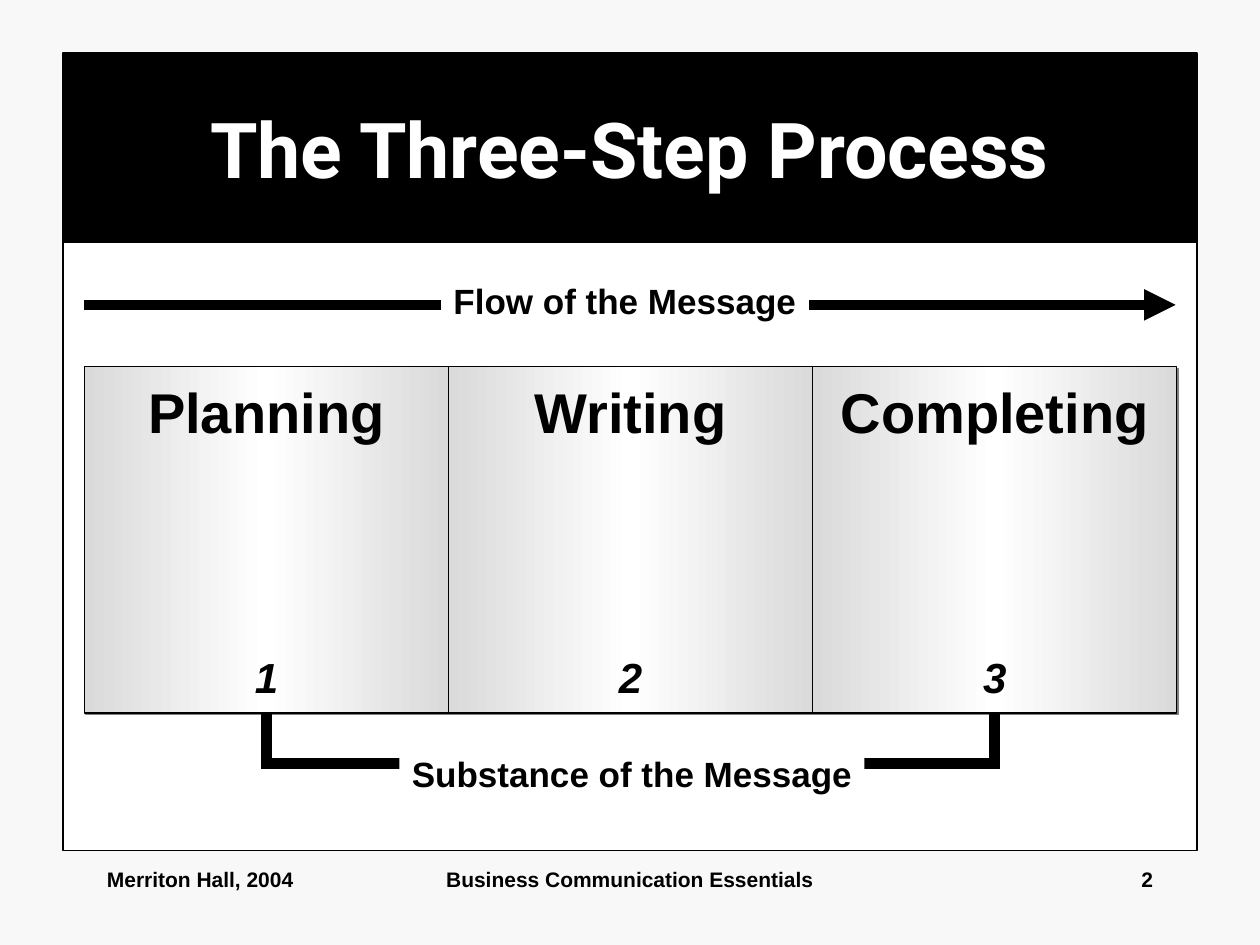
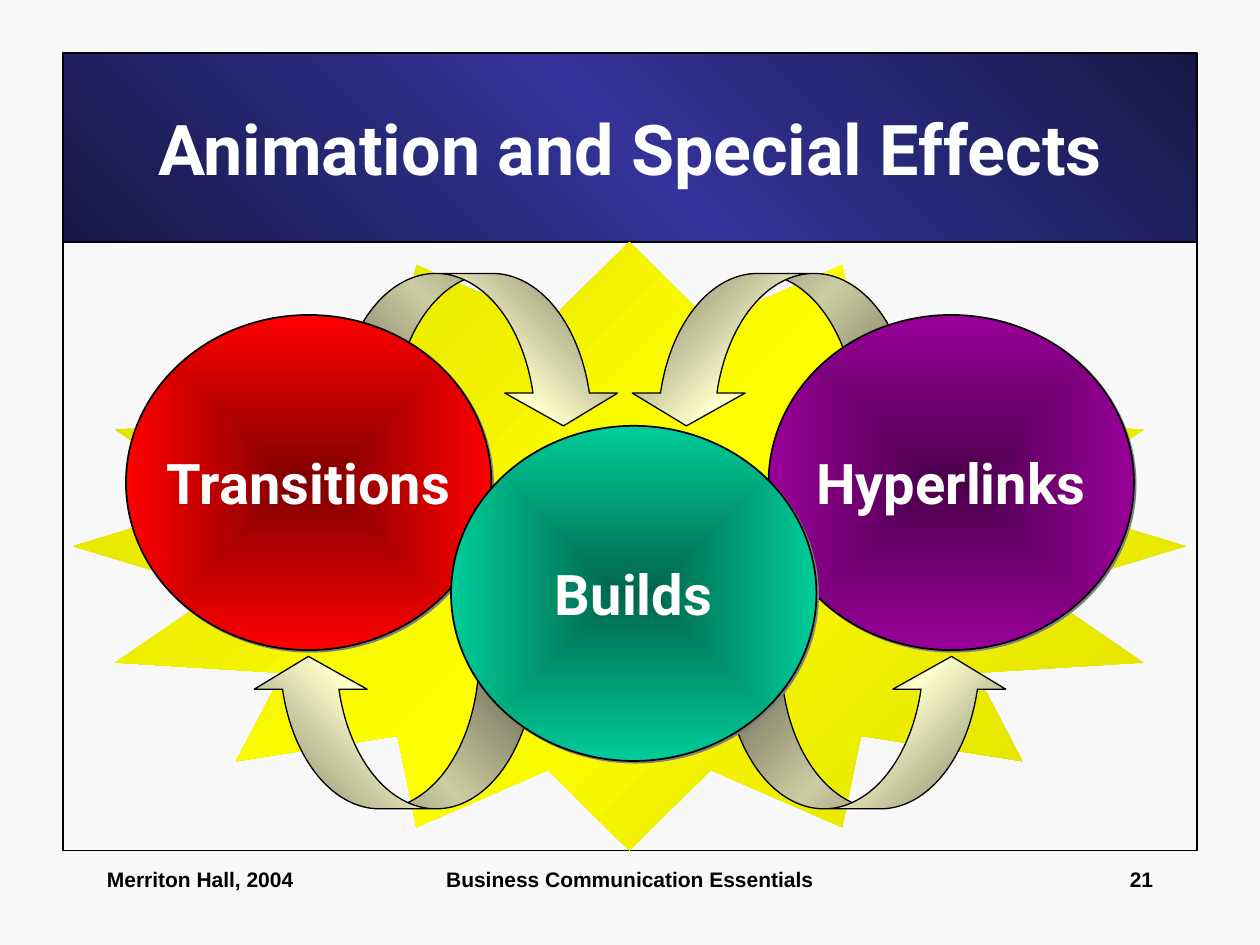
from pptx import Presentation
from pptx import util as u
from pptx.dml.color import RGBColor
from pptx.enum import shapes, text
from pptx.oxml import parse_xml
from pptx.oxml.ns import nsdecls, qn

Inches, Pt = u.Inches, u.Pt
Kind, Align = shapes.MSO_SHAPE, text.PP_ALIGN
Anchor, Fit = text.MSO_ANCHOR, text.MSO_AUTO_SIZE

# Shared colours and fonts
BLACK = RGBColor(0, 0, 0)
WHITE = RGBColor(255, 255, 255)
PAPER = RGBColor(0xF8, 0xF8, 0xF8)
SHADE = RGBColor(0x80, 0x80, 0x80)
SILVER = RGBColor(0xDA, 0xDA, 0xDA)
NIGHT, BLUE = RGBColor(0x17, 0x17, 0x46), RGBColor(0x33, 0x33, 0x99)
OLIVE, YELLOW = RGBColor(0xDB, 0xDB, 0), RGBColor(0xFF, 0xFF, 0)
KHAKI, CREAM = RGBColor(0x75, 0x75, 0x5E), RGBColor(0xFF, 0xFF, 0xCC)
PLUM, PURPLE = RGBColor(0x4B, 0, 0x4B), RGBColor(0x99, 0, 0x99)
WINE, RED = RGBColor(0x7E, 0, 0), RGBColor(0xFF, 0, 0)
PINE, GREEN = RGBColor(0, 0x65, 0x4B), RGBColor(0, 0xCC, 0x99)
HEAD, BODY = "Roboto", "Arial"

# Content
FOOTER = [  # text, left, width, alignment
    ("Merriton Hall, 2004", 0.75, 2.08, Align.LEFT),
    ("Business Communication Essentials", 3.42, 3.16, Align.CENTER),
    ("{page}", 7.17, 2.08, Align.RIGHT),
]
STEPS = ["Planning", "Writing", "Completing"]
FLOW = ("Flow of the Message", (3.5, 2.17, 2.92, 0.44))
SUBSTANCE = ("Substance of the Message", (3.17, 5.92, 3.69, 0.44))
DISCS = [  # text, left, top, inner and outer colour
    ("Hyperlinks", 6.1, 2.5, PLUM, PURPLE),
    ("Transitions", 1, 2.5, WINE, RED),
    ("Builds", 3.58, 3.38, PINE, GREEN),
]
ARROWS = [  # left, top, flipped across, flipped down
    (5, 2.17, True, False),
    (2.67, 2.17, False, False),
    (5.75, 5.21, False, True),
    (2, 5.21, True, True),
]


def style(par, size, font=BODY, color=BLACK, align=Align.LEFT, italic=False):
    par.alignment = align
    for run in par.runs:
        f = run.font
        f.name, f.size, f.bold, f.italic = font, Pt(size), True, italic
        f.color.rgb = color


def paint(shape, fill=None, line=None):
    """Give a solid or empty fill and a black or empty outline."""
    if fill is None:
        shape.fill.background()
    else:
        shape.fill.solid()
        shape.fill.fore_color.rgb = fill
    if line is None:
        shape.line.fill.background()
    else:
        shape.line.color.rgb = BLACK
        shape.line.width = Pt(line)


def blend(shape, colors, angle=None):
    """Spread colours evenly, along an angle or out from the centre."""
    shape.fill.gradient()
    grad = shape._element.spPr.find(qn("a:gradFill"))
    grad.clear()
    grad.set("rotWithShape", "1")
    gap = 100000 // (len(colors) - 1)
    stops = "".join(f'<a:gs pos="{i * gap}"><a:srgbClr val="{c}"/></a:gs>'
                    for i, c in enumerate(colors))
    grad.append(parse_xml(f'<a:gsLst {nsdecls("a")}>{stops}</a:gsLst>'))
    if angle is None:
        way = (f'<a:path {nsdecls("a")} path="rect"><a:fillToRect l="50000" '
               't="50000" r="50000" b="50000"/></a:path>')
    else:
        way = f'<a:lin {nsdecls("a")} ang="{angle * 60000}" scaled="1"/>'
    grad.append(parse_xml(way))


def drop(shape):
    """Add the small grey shadow at the lower right."""
    shape._element.spPr.find(qn("a:effectLst")).append(parse_xml(
        f'<a:outerShdw {nsdecls("a")} dist="17780" dir="2700000" '
        f'algn="ctr" rotWithShape="0"><a:srgbClr val="{SHADE}"/></a:outerShdw>'))


def place(slide, kind, box, fill=None, line=None):
    shape = slide.shapes.add_shape(kind, *map(Inches, box))
    shape.shadow.inherit = False
    paint(shape, fill, line)
    return shape


def write(slide, words, box, size, align=Align.LEFT):
    area = slide.shapes.add_textbox(*map(Inches, box))
    area.text_frame.word_wrap = True
    area.text_frame.text = words
    style(area.text_frame.paragraphs[0], size, align=align)
    return area


def label(slide, words, box):
    """Write one line on white; the slim right margin keeps it unbroken."""
    area = write(slide, words, box, 20)
    frame = area.text_frame
    frame.word_wrap, frame.auto_size = False, Fit.NONE
    frame.margin_right = Inches(0.02)
    paint(area, WHITE)


def start(deck, title, size, page, fill=None):
    """Make a slide with frame, title band and footer."""
    slide = deck.slides.add_slide(deck.slide_layouts[5])
    place(slide, Kind.RECTANGLE, (0.5, 1.92, 9, 4.83), fill, 0.75)
    band = slide.shapes.title
    band.left, band.top, band.width, band.height = map(
        Inches, (0.5, 0.42, 9, 1.5))
    paint(band, BLACK, 0.75)
    frame = band.text_frame
    frame.text = title
    frame.auto_size, frame.vertical_anchor = Fit.NONE, Anchor.MIDDLE
    style(frame.paragraphs[0], size, HEAD, WHITE, Align.CENTER)
    for words, left, width, align in FOOTER:
        write(slide, words.format(page=page), (left, 6.83, width, 0.49),
              12, align)
    return slide


def process(deck):
    slide = start(deck, "The Three-Step Process", 44, 2, WHITE)
    left, top, wide, high = 0.67, 2.91, 2.89, 2.75
    base = top + high

    # Flow arrow
    arrow = slide.shapes.add_connector(
        shapes.MSO_CONNECTOR.STRAIGHT, Inches(left), Inches(2.42),
        Inches(9.33), Inches(2.42))
    arrow.line.color.rgb, arrow.line.width = BLACK, Pt(6)
    arrow.line._get_or_add_ln().append(
        parse_xml(f'<a:tailEnd {nsdecls("a")} type="triangle"/>'))
    arrow._element.spPr.append(parse_xml(f'<a:effectLst {nsdecls("a")}/>'))
    label(slide, *FLOW)

    # Step panels
    for i, step in enumerate(STEPS):
        panel = place(slide, Kind.RECTANGLE,
                      (left + i * wide, top, wide, high), WHITE, 0.75)
        blend(panel, [SILVER, WHITE, SILVER], 180)
        drop(panel)
        frame = panel.text_frame
        frame.word_wrap, frame.vertical_anchor = False, Anchor.MIDDLE
        frame.text = f"{step}\n{i + 1}"
        name, number = frame.paragraphs
        style(name, 32, align=Align.CENTER)
        style(number, 24, align=Align.CENTER, italic=True)
        number.space_before = Pt(118)

    # Bracket from the first panel to the last
    first, last, low = left + wide / 2, left + 2.5 * wide, 6.06
    pen = slide.shapes.build_freeform(Inches(first), Inches(base))
    pen.add_line_segments([(Inches(x), Inches(y)) for x, y in
                           [(first, low), (last, low), (last, base)]],
                          close=False)
    bracket = pen.convert_to_shape()
    bracket.shadow.inherit = False
    paint(bracket, None, 6)
    bracket.line._get_or_add_ln().append(
        parse_xml(f'<a:miter {nsdecls("a")} lim="800000"/>'))
    label(slide, *SUBSTANCE)


def effects(deck):
    slide = start(deck, "Animation and Special Effects", 40, 21)
    blend(slide.shapes.title, [NIGHT, BLUE, NIGHT], 135)

    # Star behind everything
    star = place(slide, Kind.STAR_16_POINT, (0.58, 1.92, 8.83, 4.83), YELLOW)
    blend(star, [OLIVE, YELLOW, OLIVE], 225)

    # Curved arrows
    for left, top, across, down in ARROWS:
        arrow = place(slide, Kind.CURVED_DOWN_ARROW,
                      (left, top, 2.25, 1.21), CREAM, 0.75)
        for i, part in enumerate((0.37, 0.74, 0.215)):
            arrow.adjustments[i] = part
        blend(arrow, [KHAKI, CREAM, KHAKI], 135)
        turn = arrow._element.spPr.find(qn("a:xfrm"))
        turn.set("flipH", str(int(across)))
        turn.set("flipV", str(int(down)))

    # Discs
    for words, left, top, inner, outer in DISCS:
        disc = place(slide, Kind.OVAL, (left, top, 2.9, 2.66), outer, 1)
        blend(disc, [inner, outer])
        drop(disc)
        frame = disc.text_frame
        frame.word_wrap, frame.vertical_anchor = False, Anchor.MIDDLE
        frame.text = words
        style(frame.paragraphs[0], 32, HEAD, WHITE, Align.CENTER)


def main():
    deck = Presentation()
    deck.slide_width, deck.slide_height = Inches(10), Inches(7.5)
    back = deck.slide_master.background.fill
    back.solid()
    back.fore_color.rgb = PAPER
    process(deck)
    effects(deck)
    deck.save("out.pptx")


if __name__ == "__main__":
    main()
